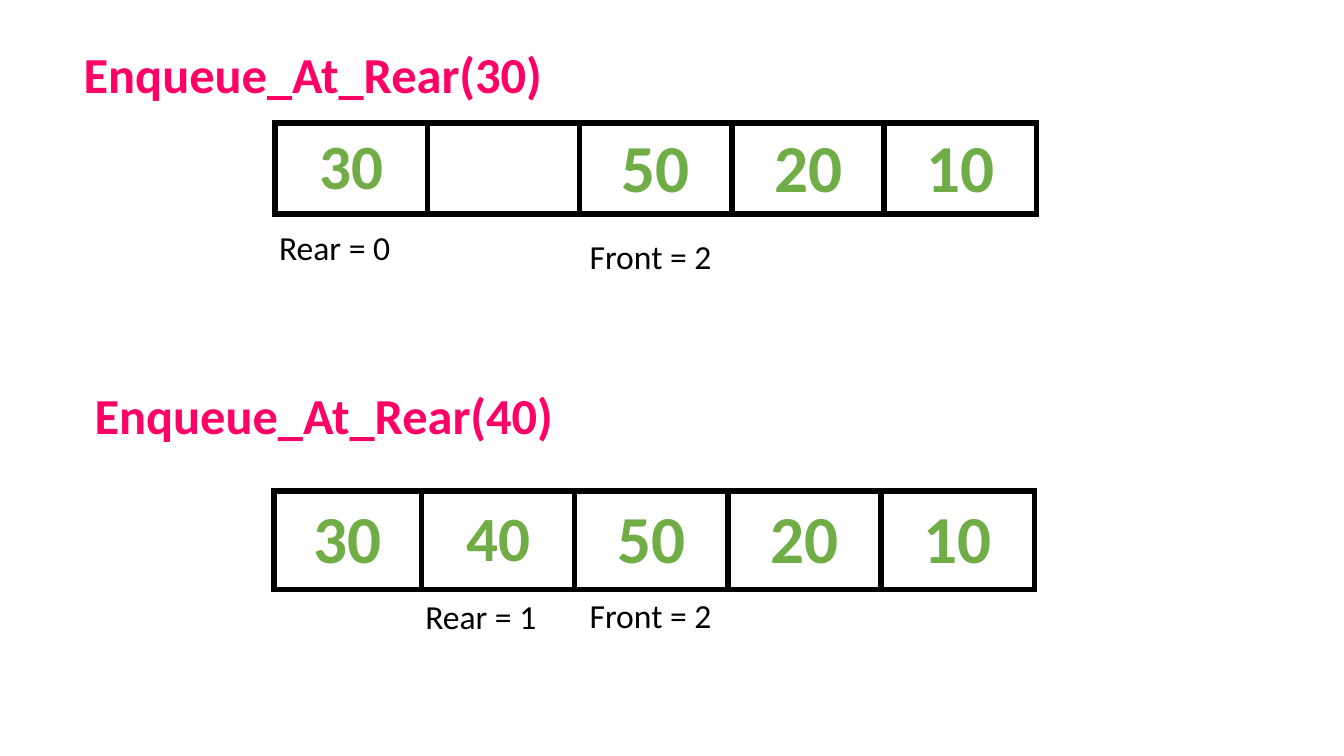
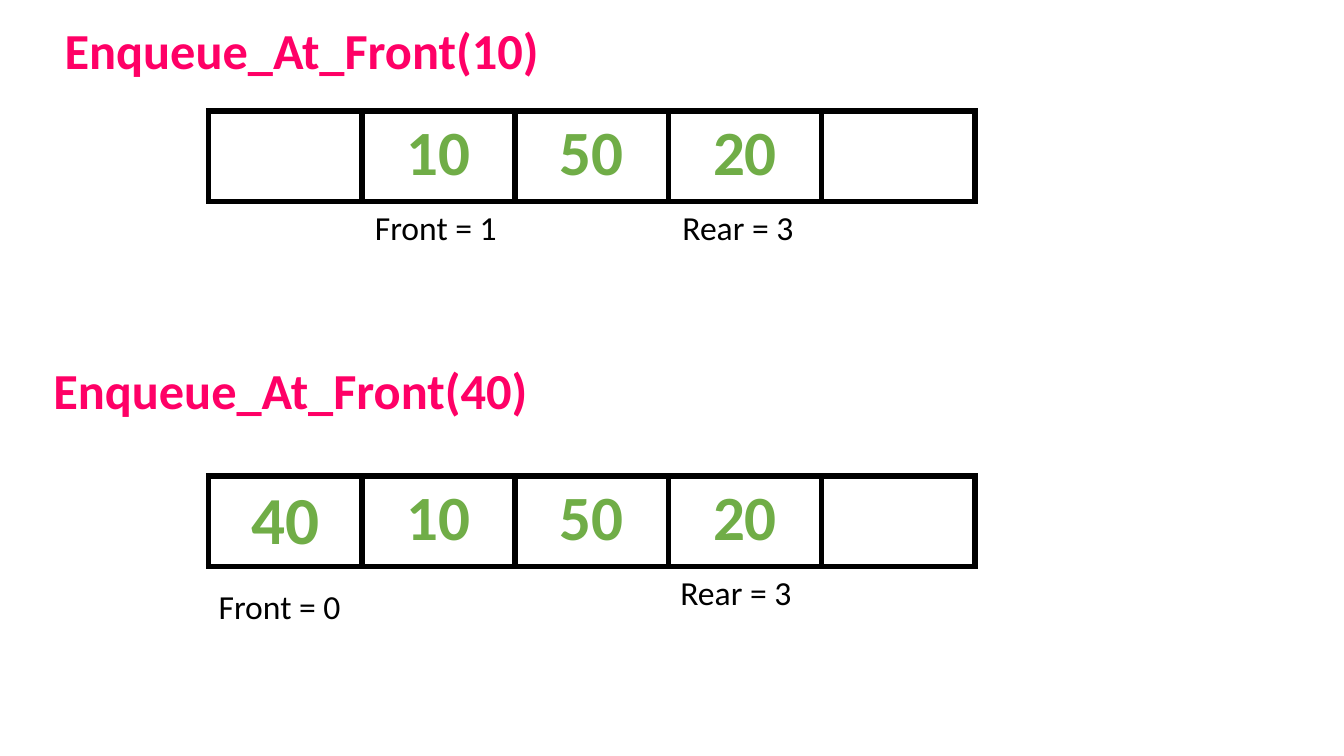
from dataclasses import dataclass

import lxml.etree
import pptx
import pptx.dml.color
import pptx.enum.text
import pptx.oxml.ns
import pptx.util

PX = 9144  # EMU per px, 100 px to the inch
FONT = "Calibri"
PINK = pptx.dml.color.RGBColor(0xFF, 0x00, 0x66)
GREEN = pptx.dml.color.RGBColor(0x70, 0xAD, 0x47)
BLACK = pptx.dml.color.RGBColor(0x00, 0x00, 0x00)
WHITE = pptx.dml.color.RGBColor(0xFF, 0xFF, 0xFF)
BORDER = pptx.util.Pt(4.5)
TITLE_ONLY = 5
TOP = pptx.enum.text.MSO_ANCHOR.TOP
MIDDLE = pptx.enum.text.MSO_ANCHOR.MIDDLE


@dataclass(frozen=True)
class Caption:
    text: str
    left: int
    top: int
    width: int = 173
    height: int = 50


@dataclass(frozen=True)
class Slot:
    value: str = ""
    size: int = 48
    anchor: pptx.enum.text.MSO_ANCHOR = MIDDLE


@dataclass(frozen=True)
class Queue:
    left: int
    top: int
    height: int
    slots: tuple[Slot, ...]
    slot_width: int = 152
    first_width: int = 152


@dataclass(frozen=True)
class Step:
    heading: Caption
    queue: Queue
    pointers: tuple[Caption, ...]


def px(length: int) -> pptx.util.Emu:
    return pptx.util.Emu(length * PX)


def style(paragraph, size: int, color: pptx.dml.color.RGBColor, bold: bool) -> None:
    paragraph.font.name = FONT
    paragraph.font.size = pptx.util.Pt(size)
    paragraph.font.color.rgb = color
    paragraph.font.bold = bold


def write_caption(box, caption: Caption, size: int, color: pptx.dml.color.RGBColor, bold: bool) -> None:
    box.left, box.top = px(caption.left), px(caption.top)
    box.width, box.height = px(caption.width), px(caption.height)
    frame = box.text_frame
    frame.text = caption.text
    frame.word_wrap = True
    frame.auto_size = pptx.enum.text.MSO_AUTO_SIZE.SHAPE_TO_FIT_TEXT
    frame.vertical_anchor = TOP
    frame.paragraphs[0].alignment = pptx.enum.text.PP_ALIGN.LEFT
    style(frame.paragraphs[0], size, color, bold)


def add_box(slide):
    return slide.shapes.add_textbox(0, 0, 0, 0)


def outline(cell) -> None:
    """Draw a black line on each side of the cell, ahead of its fill."""
    properties = cell._tc.get_or_add_tcPr()
    qn = pptx.oxml.ns.qn
    for index, side in enumerate(("a:lnL", "a:lnR", "a:lnT", "a:lnB")):
        line = lxml.etree.Element(qn(side), w=str(BORDER))
        fill = lxml.etree.SubElement(line, qn("a:solidFill"))
        lxml.etree.SubElement(fill, qn("a:srgbClr"), val=str(BLACK))
        properties.insert(index, line)


def add_queue(slide, queue: Queue) -> None:
    count = len(queue.slots)
    widths = [queue.first_width] + [queue.slot_width] * (count - 1)
    table = slide.shapes.add_table(
        1, count, px(queue.left), px(queue.top), px(sum(widths)), px(queue.height)
    ).table
    table.first_row = table.horz_banding = False
    for column, (slot, width) in enumerate(zip(queue.slots, widths)):
        table.columns[column].width = px(width)
        cell = table.cell(0, column)
        cell.fill.solid()
        cell.fill.fore_color.rgb = WHITE
        outline(cell)
        if slot.value:
            cell.text = slot.value
            cell.vertical_anchor = slot.anchor
            paragraph = cell.text_frame.paragraphs[0]
            paragraph.alignment = pptx.enum.text.PP_ALIGN.CENTER
            style(paragraph, slot.size, GREEN, True)


def add_slide(deck, steps: tuple[Step, ...]) -> None:
    slide = deck.slides.add_slide(deck.slide_layouts[TITLE_ONLY])
    for index, step in enumerate(steps):
        heading = add_box(slide) if index else slide.shapes.title
        write_caption(heading, step.heading, 36, PINK, True)
        add_queue(slide, step.queue)
        for pointer in step.pointers:
            write_caption(add_box(slide), pointer, 24, BLACK, False)


def heading(text: str, left: int, top: int, width: int = 851) -> Caption:
    return Caption(text, left, top, width, 71)


SETTLED = (Slot("50"), Slot("20"), Slot("10"))
FRONT_SLOTS = tuple(Slot(value, 45, TOP) for value in ("10", "50", "20")) + (Slot(),)

REAR_STEPS = (
    Step(
        heading("Enqueue_At_Rear(30)", 73, 38),
        Queue(273, 122, 90, (Slot("30", 45), Slot()) + SETTLED, 151, 151),
        (Caption("Rear = 0", 267, 220), Caption("Front = 2", 575, 229, 667)),
    ),
    Step(
        heading("Enqueue_At_Rear(40)", 84, 376),
        Queue(272, 487, 98, (Slot("30"), Slot("40", 45)) + SETTLED, first_width=146),
        (Caption("Rear = 1", 412, 586), Caption("Front = 2", 575, 585, 667)),
    ),
)
FRONT_STEPS = (
    Step(
        heading("Enqueue_At_Front(10)", 54, 14),
        Queue(207, 110, 90, (Slot(),) + FRONT_SLOTS),
        (Caption("Front = 1", 362, 200), Caption("Rear = 3", 667, 200, 666)),
    ),
    Step(
        heading("Enqueue_At_Front(40)", 43, 351, 765),
        Queue(207, 472, 90, (Slot("40"),) + FRONT_SLOTS),
        (Caption("Front = 0", 207, 576), Caption("Rear = 3", 665, 562, 666)),
    ),
)


def main() -> None:
    deck = pptx.Presentation()
    deck.slide_width, deck.slide_height = px(1333), px(750)
    for steps in (REAR_STEPS, FRONT_STEPS):
        add_slide(deck, steps)
    deck.save("out.pptx")


if __name__ == "__main__":
    main()
